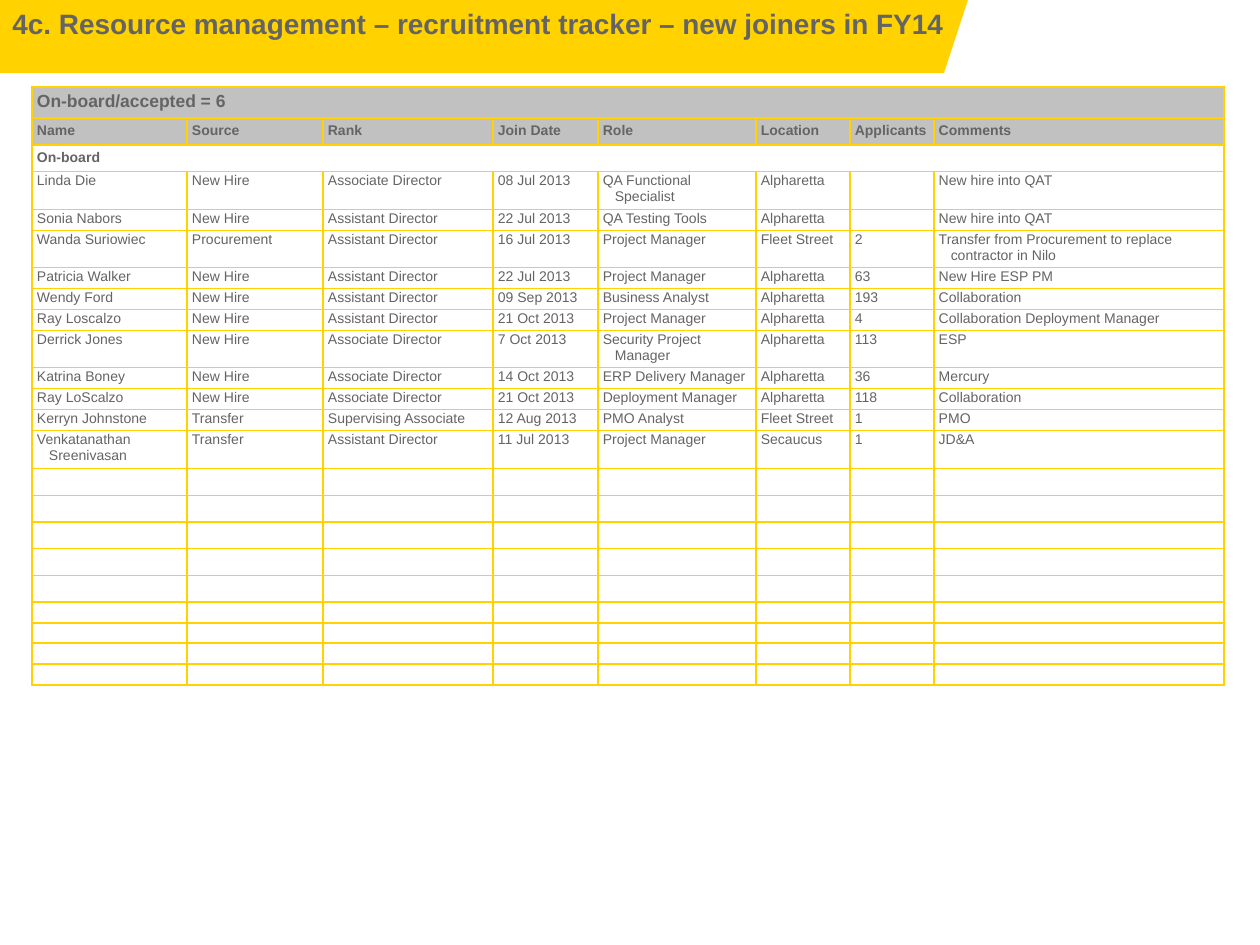
import dataclasses

import lxml.etree
import pptx
import pptx.dml.color
import pptx.enum.text
import pptx.oxml.ns
import pptx.util

SCALE = 914400 / 126


@dataclasses.dataclass(frozen=True)
class Theme:
    """Colours, font and type sizes of the slide."""
    yellow: str = "FFD200"
    grey: str = "C1C1C1"
    white: str = "FFFFFF"
    ink: str = "646464"
    font: str = "Arial"
    title: int = 16
    summary: int = 10
    body: int = 8
    border: int = 1


THEME = Theme()
COLUMNS = [155, 136, 170, 105, 158, 94, 84, 290]
HEADINGS = ["Name", "Source", "Rank", "Join Date", "Role", "Location", "Applicants", "Comments"]
JOINERS = [
    ["Linda Die", "New Hire", "Associate Director", "08 Jul 2013",
     "QA Functional Specialist", "Alpharetta", "", "New hire into QAT"],
    ["Sonia Nabors", "New Hire", "Assistant Director", "22 Jul 2013",
     "QA Testing Tools", "Alpharetta", "", "New hire into QAT"],
    ["Wanda Suriowiec", "Procurement", "Assistant Director", "16 Jul 2013",
     "Project Manager", "Fleet Street", "2",
     "Transfer from Procurement to replace contractor in Nilo"],
    ["Patricia Walker", "New Hire", "Assistant Director", "22 Jul 2013",
     "Project Manager", "Alpharetta", "63", "New Hire ESP PM"],
    ["Wendy Ford", "New Hire", "Assistant Director", "09 Sep 2013",
     "Business Analyst", "Alpharetta", "193", "Collaboration"],
    ["Ray Loscalzo", "New Hire", "Assistant Director", "21 Oct 2013",
     "Project Manager", "Alpharetta", "4", "Collaboration Deployment Manager"],
    ["Derrick Jones", "New Hire", "Associate Director", "7 Oct 2013",
     "Security Project Manager", "Alpharetta", "113", "ESP"],
    ["Katrina Boney", "New Hire", "Associate Director", "14 Oct 2013",
     "ERP Delivery Manager", "Alpharetta", "36", "Mercury"],
    ["Ray LoScalzo", "New Hire", "Associate Director", "21 Oct 2013",
     "Deployment Manager", "Alpharetta", "118", "Collaboration"],
    ["Kerryn Johnstone", "Transfer", "Supervising Associate", "12 Aug 2013",
     "PMO Analyst", "Fleet Street", "1", "PMO"],
    ["Venkatanathan Sreenivasan", "Transfer", "Assistant Director", "11 Jul 2013",
     "Project Manager", "Secaucus", "1", "JD&A"],
]
JOINER_HEIGHTS = [38, 21, 37, 21, 21, 21, 37, 21, 21, 21, 38]
SPARE_HEIGHTS = [25, 26, 26, 26, 25, 21, 20, 21, 21]


def px(length):
    """Turn px into EMU."""
    return pptx.util.Emu(round(length * SCALE))


def color(value):
    """Turn a hex string into a colour."""
    return pptx.dml.color.RGBColor.from_string(value)


def add_span(para, text, size, bold):
    """Add one styled run."""
    span = para.add_run()
    span.text = text
    span.font.name = THEME.font
    span.font.size = pptx.util.Pt(size)
    span.font.bold = bold
    span.font.color.rgb = color(THEME.ink)


def add_banner(page):
    """Draw the slanted yellow banner."""
    builder = page.shapes.build_freeform(px(968), 0)
    builder.add_line_segments([(px(944), px(73)), (0, px(73)), (0, 0)], close=True)
    banner = builder.convert_to_shape()
    banner.shadow.inherit = False
    banner.fill.solid()
    banner.fill.fore_color.rgb = color(THEME.yellow)
    banner.line.fill.background()


def add_title(page, text):
    """Add the slide title."""
    box = page.shapes.add_textbox(0, 0, px(1065), px(170))
    box.text_frame.word_wrap = True
    box.text_frame.vertical_anchor = pptx.enum.text.MSO_ANCHOR.TOP
    add_span(box.text_frame.paragraphs[0], text, THEME.title, True)


def add_borders(cell):
    """Rule all four sides of a cell."""
    properties = cell._tc.get_or_add_tcPr()
    name = pptx.oxml.ns.qn
    for side in ("a:lnL", "a:lnR", "a:lnT", "a:lnB"):
        width = str(pptx.util.Pt(THEME.border))
        line = lxml.etree.SubElement(properties, name(side), w=width)
        fill = lxml.etree.SubElement(line, name("a:solidFill"))
        lxml.etree.SubElement(fill, name("a:srgbClr"), val=THEME.yellow)


def fill_cell(cell, text, size, bold, fill, inset):
    """Style a cell and write its text with a hanging indent."""
    add_borders(cell)
    cell.fill.solid()
    cell.fill.fore_color.rgb = color(fill)
    cell.margin_left = cell.margin_right = px(5)
    cell.margin_top = cell.margin_bottom = px(inset)
    para = cell.text_frame.paragraphs[0]
    indent = para._p.get_or_add_pPr()
    indent.set("marL", str(px(12)))
    indent.set("indent", str(-px(12)))
    para.space_after = pptx.util.Pt(size / 10)
    if text:
        add_span(para, text, size, bold)
    else:
        lxml.etree.SubElement(para._p, pptx.oxml.ns.qn("a:endParaRPr"), sz=str(size * 100))


def tracker_rows():
    """List each row as height, texts, type size, bold, fill and inset."""
    rows = [
        (30, ["On-board/accepted = 6"], THEME.summary, True, THEME.grey, 5),
        (27, HEADINGS, THEME.body, True, THEME.grey, 5),
        (26, ["On-board"], THEME.body, True, THEME.white, 5),
    ]
    for height, joiner in zip(JOINER_HEIGHTS, JOINERS):
        rows.append((height, joiner, THEME.body, False, THEME.white, 1))
    for height in SPARE_HEIGHTS:
        inset = 5 if height > 21 else 1
        rows.append((height, [], THEME.body, False, THEME.white, inset))
    return rows


def add_tracker(page):
    """Add the recruitment table."""
    rows = tracker_rows()
    height = sum(row[0] for row in rows)
    frame = page.shapes.add_table(
        len(rows), len(COLUMNS), px(32), px(87), px(sum(COLUMNS)), px(height))
    table = frame.table
    table.first_row = table.horz_banding = False
    for column, width in zip(table.columns, COLUMNS):
        column.width = px(width)
    for index, (height, texts, *style) in enumerate(rows):
        table.rows[index].height = px(height)
        for column in range(len(COLUMNS)):
            text = texts[column] if column < len(texts) else ""
            fill_cell(table.cell(index, column), text, *style)
        if len(texts) == 1:
            table.cell(index, 0).merge(table.cell(index, len(COLUMNS) - 1))


def main():
    """Build and save the deck."""
    deck = pptx.Presentation()
    deck.slide_width, deck.slide_height = px(1260), px(945)
    page = deck.slides.add_slide(deck.slide_layouts[6])
    add_banner(page)
    add_title(page, "4c. Resource management – recruitment tracker – new joiners in FY14")
    add_tracker(page)
    deck.save("out.pptx")


if __name__ == "__main__":
    main()
